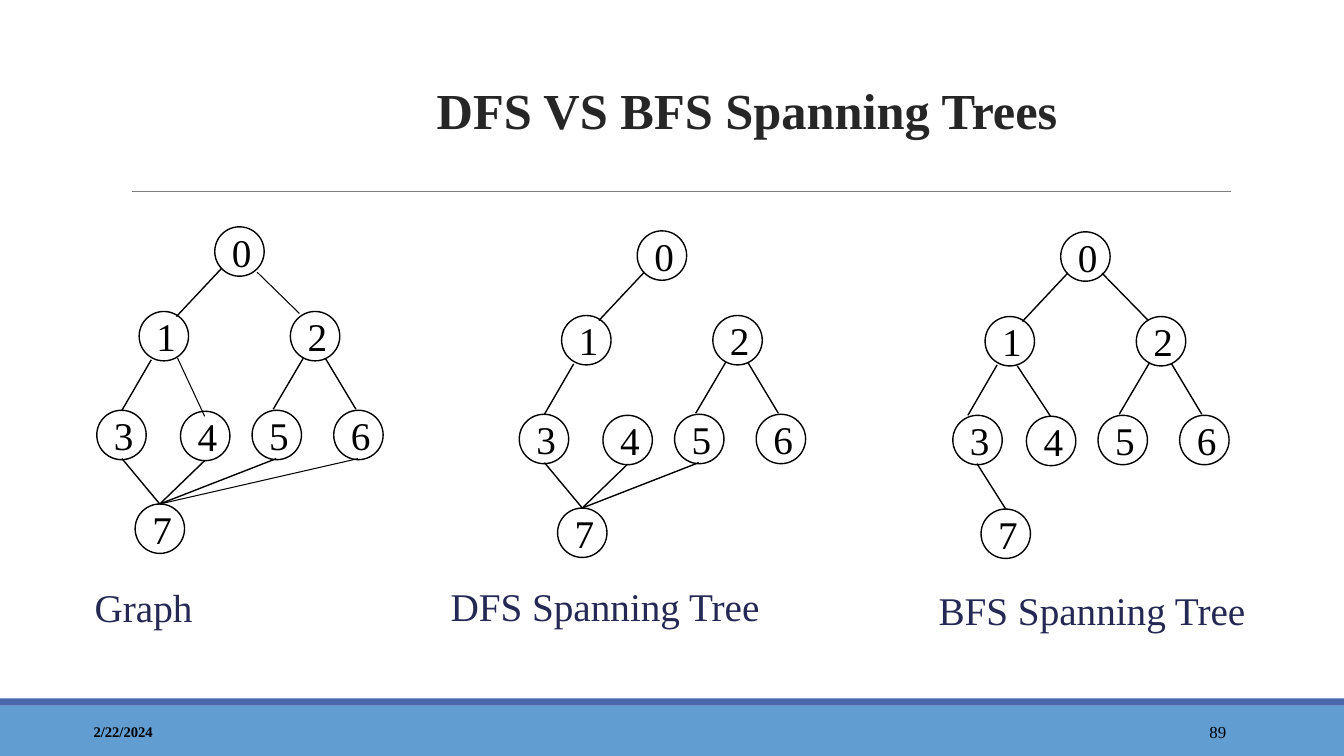
"""Build a slide comparing a graph with its DFS and BFS spanning trees."""
from pptx import Presentation
from pptx.dml.color import RGBColor
from pptx.enum.shapes import MSO_CONNECTOR, MSO_SHAPE
from pptx.enum.text import MSO_ANCHOR, PP_ALIGN
from pptx.oxml.ns import qn
from pptx.util import Emu, Pt
from lxml import etree

LEFT, CENTER, RIGHT = PP_ALIGN.LEFT, PP_ALIGN.CENTER, PP_ALIGN.RIGHT
TOP, MIDDLE, BOTTOM = MSO_ANCHOR.TOP, MSO_ANCHOR.MIDDLE, MSO_ANCHOR.BOTTOM
OVAL, RECTANGLE = MSO_SHAPE.OVAL, MSO_SHAPE.RECTANGLE
STRAIGHT = MSO_CONNECTOR.STRAIGHT
PX = 9144
NODE_SIZE = 49


def color(value):
    return RGBColor.from_string(value)


def write(box, text, size=28, ink="000000", bold=False, align=LEFT,
          anchor=TOP, wrap=True, spacing=1.0):
    frame = box.text_frame
    frame.word_wrap = wrap
    frame.vertical_anchor = anchor
    para = frame.paragraphs[0]
    para.alignment = align
    para.line_spacing = spacing
    span = para.add_run()
    span.text = text
    span.font.name = "Times New Roman"
    span.font.size = Pt(size)
    span.font.bold = bold
    span.font.color.rgb = color(ink)


deck = Presentation()
deck.slide_width = Emu(1333 * PX)
deck.slide_height = Emu(750 * PX)
page = deck.slides.add_slide(deck.slide_layouts[6])
shapes = page.shapes

for top, height, fill in [(700, 50, "629DD1"), (693, 7, "4A66AC")]:
    band = shapes.add_shape(RECTANGLE, 0, top * PX, 1333 * PX, height * PX)
    band.shadow.inherit = False
    band.fill.solid()
    band.fill.fore_color.rgb = color(fill)
    band.line.fill.background()

labels = [
    ("DFS VS BFS Spanning Trees", (197, 31, 1088, 112),
     dict(size=36, ink="262626", bold=True, align=CENTER, anchor=BOTTOM, spacing=1.1)),
    ("2/22/2024", (83, 706, 300, 40), dict(size=10.5, bold=True, anchor=MIDDLE)),
    ("89", (1083, 706, 143, 40), dict(size=12, align=RIGHT, anchor=MIDDLE)),
    ("Graph", (84, 574, 119, 57), dict(ink="242852", wrap=False)),
    ("DFS Spanning Tree", (437, 573, 330, 57), dict(ink="242852", wrap=False)),
    ("BFS Spanning Tree", (921, 577, 328, 57), dict(ink="242852", wrap=False)),
]
for text, place, style in labels:
    write(shapes.add_textbox(*(length * PX for length in place)), text, **style)

node_offsets = [(0, 0), (-75, 84), (75, 84), (-117, 182),
                (-34, 183), (37, 182), (118, 182), (-79, 275)]
edge_offsets = {
    "01": (7, 41, -38, 89),
    "02": (41, 41, 87, 88),
    "13": (-63, 132, -92, 182),
    "14": (-43, 133, -10, 183),
    "25": (88, 130, 58, 181),
    "26": (110, 131, 140, 181),
    "73": (-54, 275, -92, 230),
    "74": (-54, 275, -10, 232),
    "75": (-54, 275, 61, 230),
    "76": (-54, 275, 142, 230),
}
trees = [
    dict(origin=(213, 225), edges="01 13 25 26 73 74 75 02 14 76", thin="02 14 76",
         moved_nodes={}, moved_edges={"02": (42, 45, 84, 86), "14": (-37, 130, -10, 188)}),
    dict(origin=(632, 229), edges="01 13 25 26 73 74 75", thin="",
         moved_nodes={}, moved_edges={}),
    dict(origin=(1052, 230), edges="01 02 13 14 25 26 73", thin="",
         moved_nodes={3: (-107, 182)}, moved_edges={"73": (-54, 275, -83, 230)}),
]

lines = [((131, 190, 1221, 190), "7F7F7F", 0.75, None)]
for tree in trees:
    left, top = tree["origin"]
    nodes = []
    for number, offset in enumerate(node_offsets):
        across, down = tree["moved_nodes"].get(number, offset)
        node = shapes.add_shape(OVAL, (left + across) * PX, (top + down) * PX,
                                NODE_SIZE * PX, NODE_SIZE * PX)
        node.shadow.inherit = False
        node.fill.solid()
        node.fill.fore_color.rgb = color("FFFFFF")
        node.line.color.rgb = color("000000")
        node.line.width = Pt(1)
        write(node, str(number), align=CENTER, anchor=MIDDLE)
        nodes.append(node)
    for edge in tree["edges"].split():
        x1, y1, x2, y2 = tree["moved_edges"].get(edge, edge_offsets[edge])
        ends = (left + x1, top + y1, left + x2, top + y2)
        width = 0.75 if edge in tree["thin"].split() else 1
        lines.append((ends, "000000", width, nodes[7] if edge[0] == "7" else None))

for ends, ink, width, start in lines:
    line = shapes.add_connector(STRAIGHT, *(length * PX for length in ends))
    line.line.color.rgb = color(ink)
    line.line.width = Pt(width)
    etree.SubElement(line._element.spPr, qn("a:effectLst"))
    if start is not None:
        line.begin_connect(start, 0)

deck.save("out.pptx")
